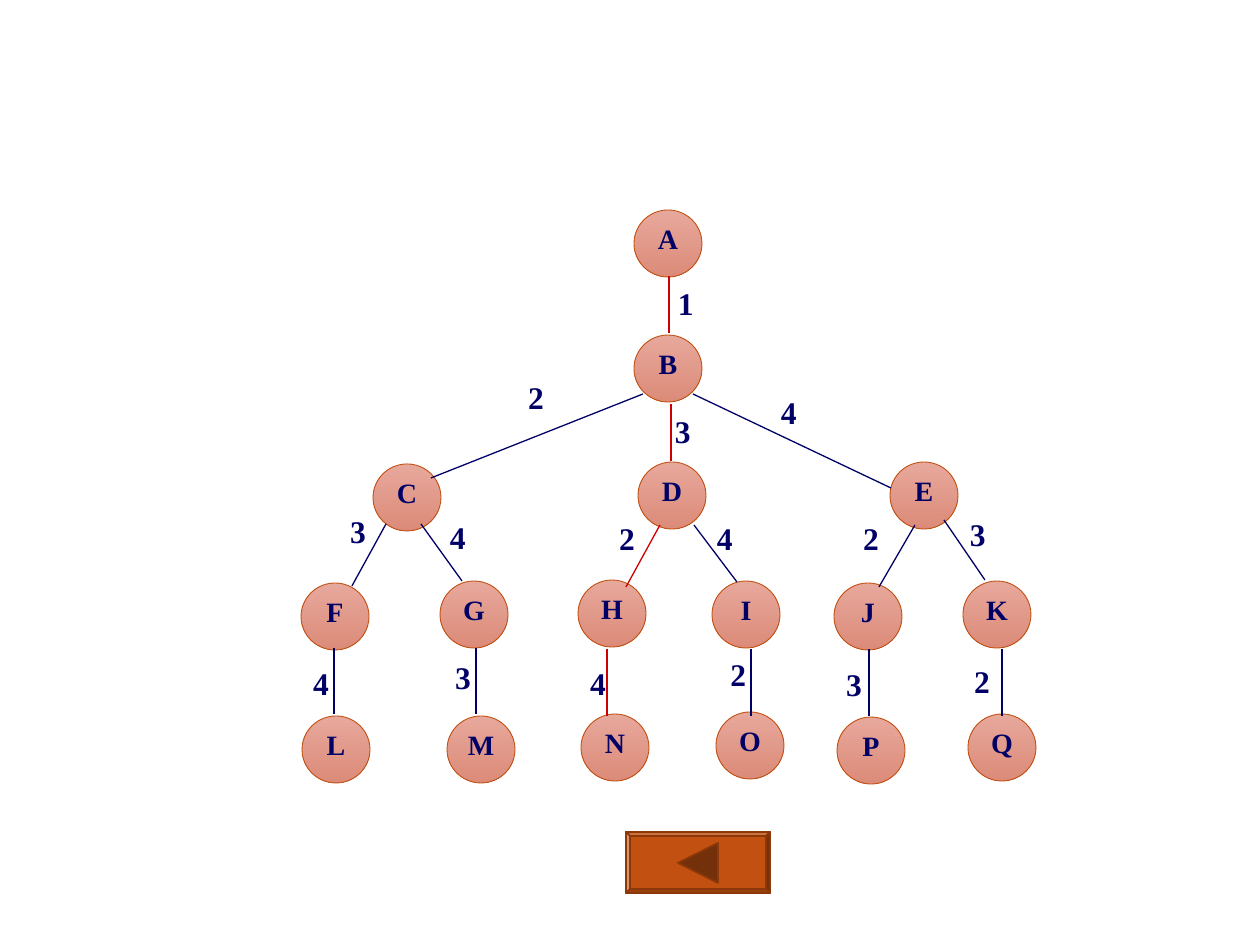
from pptx import Presentation
from pptx import util as u
from pptx.dml.color import RGBColor
from pptx.enum import shapes, text
from lxml import etree

PX = u.Inches(10) // 1260
A_NS = "http://schemas.openxmlformats.org/drawingml/2006/main"
THEME = {
    "font": "Times New Roman", "node_pt": 16, "weight_pt": 18,
    "ink": "000066", "path": "CC0000",
    "node_top": "E7A89C", "node_bottom": "DC8B79", "node_line": "C15011",
    "button": "C15011", "button_line": "8D3809",
    "bevel_top": "CD7340", "bevel_right": "73300A",
    "bevel_bottom": "9A400E", "bevel_left": "DA9670", "arrow": "73300A",
}
ALIGN = {"l": text.PP_ALIGN.LEFT, "c": text.PP_ALIGN.CENTER,
         "r": text.PP_ALIGN.RIGHT}


def color(name):
    return RGBColor.from_string(THEME[name])


def add_label(s, label, x, y, w, h, size, align):
    sp = s.shapes.add_textbox(x * PX, y * PX, w * PX, h * PX)
    tf = sp.text_frame
    tf.word_wrap = True
    tf.margin_left = tf.margin_right = tf.margin_top = tf.margin_bottom = 0
    tf.text = label
    p = tf.paragraphs[0]
    p.alignment = ALIGN[align]
    font = p.runs[0].font
    font.name, font.size, font.bold = THEME["font"], u.Pt(THEME[size]), True
    font.color.rgb = color("ink")


prs = Presentation()
prs.slide_width, prs.slide_height = u.Inches(10), u.Inches(7.5)
s = prs.slides.add_slide(prs.slide_layouts[6])

# Tree nodes: left and top of each circle
nodes = {
    "A": (634, 210), "B": (634, 335),
    "C": (373, 464), "D": (638, 462), "E": (890, 462),
    "F": (301, 583), "G": (440, 581), "H": (578, 580),
    "I": (712, 581), "J": (834, 583), "K": (963, 581),
    "L": (302, 716), "M": (447, 716), "N": (581, 714),
    "O": (716, 712), "P": (837, 717), "Q": (968, 714),
}
for name, (x, y) in nodes.items():
    sp = s.shapes.add_shape(shapes.MSO_SHAPE.OVAL,
                            x * PX, y * PX, 68 * PX, 67 * PX)
    sp.shadow.inherit = False
    sp.fill.gradient()
    sp.fill.gradient_angle = 270
    for stop, shade in zip(sp.fill.gradient_stops, ("node_top", "node_bottom")):
        stop.color.rgb = color(shade)
    sp.line.color.rgb = color("node_line")
    sp.line.width = u.Pt(0.5)
    add_label(s, name, x + 14, y + 12, 40, 34, "node_pt", "c")

# Edges: line ends, colour, weight, then the weight's left, top and alignment
edges = [
    (669, 276, 669, 333, "path", "1", 678, 284, "l"),
    (671, 404, 671, 461, "path", "3", 675, 412, "l"),
    (643, 394, 431, 478, "ink", "2", 512, 378, "c"),
    (693, 394, 891, 488, "ink", "4", 781, 393, "l"),
    (386, 524, 352, 586, "ink", "3", 318, 512, "r"),
    (421, 524, 462, 581, "ink", "4", 450, 518, "l"),
    (334, 648, 334, 714, "ink", "4", 281, 664, "r"),
    (476, 648, 476, 714, "ink", "3", 423, 658, "r"),
    (660, 525, 626, 587, "path", "2", 587, 519, "r"),
    (694, 525, 737, 582, "ink", "4", 717, 519, "l"),
    (607, 649, 607, 716, "path", "4", 558, 664, "r"),
    (751, 649, 751, 716, "ink", "2", 698, 655, "r"),
    (915, 525, 879, 587, "ink", "2", 847, 519, "c"),
    (944, 520, 985, 580, "ink", "3", 970, 515, "l"),
    (869, 649, 869, 716, "ink", "3", 814, 665, "r"),
    (1002, 649, 1002, 716, "ink", "2", 942, 662, "r"),
]
for x1, y1, x2, y2, shade, *_ in edges:
    line = s.shapes.add_connector(shapes.MSO_CONNECTOR.STRAIGHT,
                                  x1 * PX, y1 * PX, x2 * PX, y2 * PX)
    line.line.color.rgb = color(shade)
    line.line.width = u.Pt(0.75)
    etree.SubElement(line._element.spPr, f"{{{A_NS}}}effectLst")
for *_, weight, x, y, align in edges:
    add_label(s, weight, x, y, 48, 38, "weight_pt", align)

# Back button: face, four bevel sides and arrow
left, top, right, bottom, bevel = 626, 832, 770, 893, 4
outer = [(left, top), (right, top), (right, bottom), (left, bottom)]
inner = [(left + bevel, top + bevel), (right - bevel, top + bevel),
         (right - bevel, bottom - bevel), (left + bevel, bottom - bevel)]
facets = [("button", outer)]
for i, side in enumerate(("top", "right", "bottom", "left")):
    j = (i + 1) % 4
    facets.append((f"bevel_{side}", [outer[i], outer[j], inner[j], inner[i]]))
facets.append(("arrow", [(678, 863), (718, 843), (718, 883)]))
for shade, points in facets:
    builder = s.shapes.build_freeform(*points[0], scale=PX)
    builder.add_line_segments(points[1:], close=True)
    sp = builder.convert_to_shape()
    sp.shadow.inherit = False
    sp.fill.solid()
    sp.fill.fore_color.rgb = color(shade)
    sp.line.color.rgb = color("button_line")
    sp.line.width = u.Pt(1)

prs.save("out.pptx")
